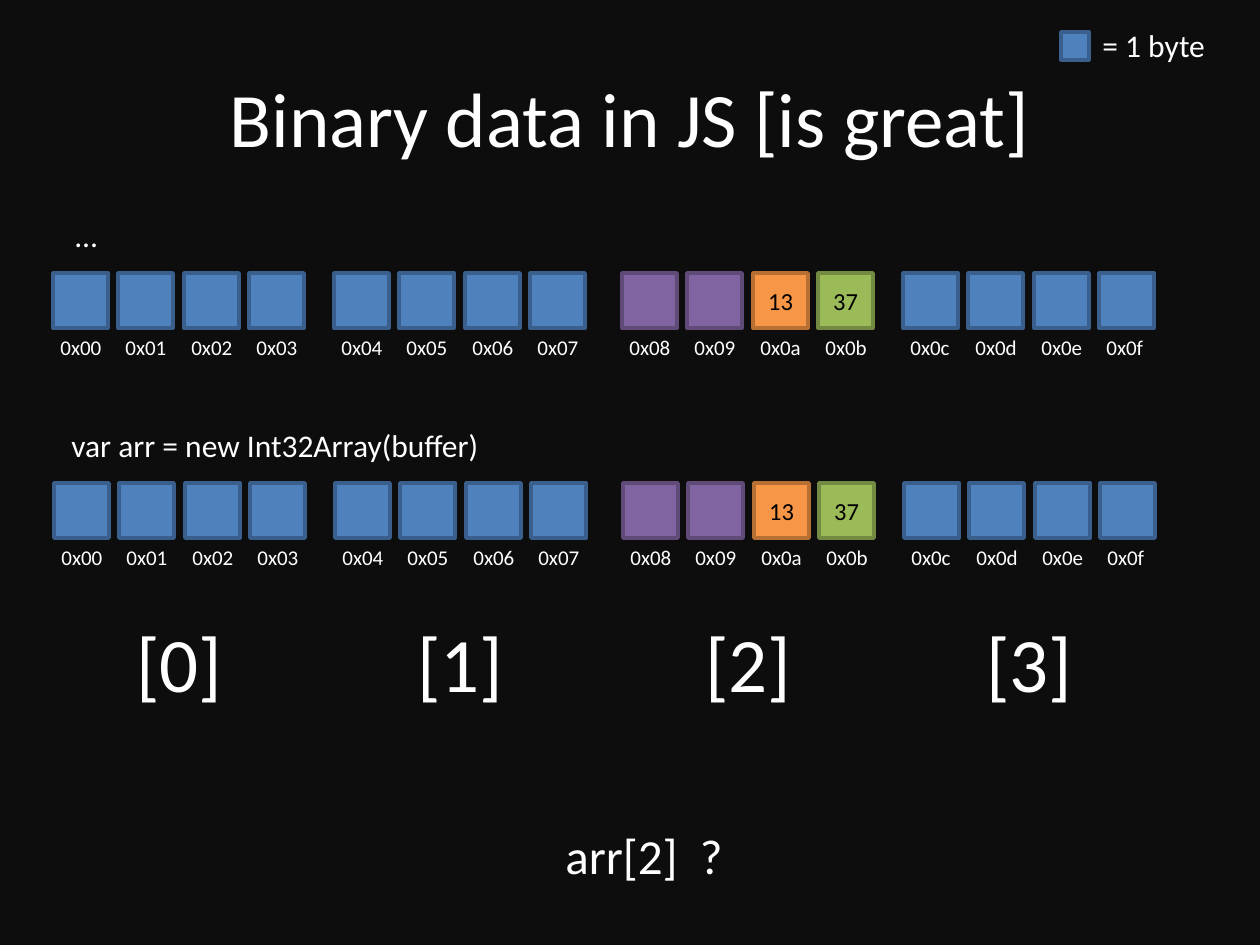
from dataclasses import dataclass

from pptx import Presentation
from pptx import util as u
from pptx.dml.color import RGBColor
from pptx.enum import shapes, text


@dataclass(frozen=True)
class Theme:
    font: str = "Calibri"
    background: str = "0D0D0D"
    light: str = "FFFFFF"
    dark: str = "000000"
    blue: tuple = ("4F81BD", "3A5F8C")
    purple: tuple = ("8064A2", "5F4A78")
    orange: tuple = ("F79646", "B76F34")
    green: tuple = ("9BBB59", "738A42")
    title: int = 44
    result: int = 28
    body: int = 18
    value: int = 14
    address: int = 12


THEME = Theme()
GROUP_LEFTS = (53, 334, 622, 903)
BYTES_PER_GROUP = 4
BYTE_SIZE = 55
SPECIAL_BYTES = {
    8: (THEME.purple, ""),
    9: (THEME.purple, ""),
    10: (THEME.orange, "13"),
    11: (THEME.green, "37"),
}


def px(length):
    return u.Emu(round(length * u.Inches(1) / 126))


def write_text(frame, content, *, size, color, align=text.PP_ALIGN.LEFT,
               anchor=text.MSO_ANCHOR.TOP):
    frame.vertical_anchor = anchor
    paragraph = frame.paragraphs[0]
    paragraph.alignment = align
    run = paragraph.add_run()
    run.text = content
    run.font.name = THEME.font
    run.font.size = u.Pt(size)
    run.font.color.rgb = RGBColor.from_string(color)


class SlideBuilder:
    def __init__(self, slide, theme):
        self.slide = slide
        self.theme = theme
        fill = slide.background.fill
        fill.solid()
        fill.fore_color.rgb = RGBColor.from_string(theme.background)

    def title(self, content, left, top, width, height):
        shape = self.slide.shapes.add_textbox(*map(px, (left, top, width, height)))
        shape.text_frame.word_wrap = True
        write_text(shape.text_frame, content, size=self.theme.title,
                   color=self.theme.light, align=text.PP_ALIGN.CENTER,
                   anchor=text.MSO_ANCHOR.MIDDLE)

    def label(self, content, left, top, width, height, size):
        shape = self.slide.shapes.add_textbox(*map(px, (left, top, width, height)))
        frame = shape.text_frame
        frame.word_wrap = False
        frame.auto_size = text.MSO_AUTO_SIZE.SHAPE_TO_FIT_TEXT
        write_text(frame, content, size=size, color=self.theme.light)

    def byte(self, left, top, size, colors, value=""):
        shape = self.slide.shapes.add_shape(
            shapes.MSO_SHAPE.RECTANGLE, *map(px, (left, top, size, size)))
        shape.shadow.inherit = False
        fill_color, line_color = colors
        shape.fill.solid()
        shape.fill.fore_color.rgb = RGBColor.from_string(fill_color)
        shape.line.color.rgb = RGBColor.from_string(line_color)
        shape.line.width = u.Pt(2)
        if value:
            write_text(shape.text_frame, value, size=self.theme.value,
                       color=self.theme.dark, align=text.PP_ALIGN.CENTER,
                       anchor=text.MSO_ANCHOR.MIDDLE)

    def buffer(self, top, shift=0):
        for address in range(len(GROUP_LEFTS) * BYTES_PER_GROUP):
            group, position = divmod(address, BYTES_PER_GROUP)
            left = GROUP_LEFTS[group] + shift + position * 131 // 2
            colors, value = SPECIAL_BYTES.get(address, (self.theme.blue, ""))
            self.byte(left, top, BYTE_SIZE, colors, value)
            self.label(f"0x{address:02x}", left - 5, top + BYTE_SIZE, 67, 38,
                       self.theme.address)


def main():
    presentation = Presentation()
    presentation.slide_width = px(1260)
    presentation.slide_height = px(945)
    slide = presentation.slides.add_slide(presentation.slide_layouts[6])
    builder = SlideBuilder(slide, THEME)

    builder.title("Binary data in JS [is great]", 63, 38, 1134, 157)
    builder.byte(1061, 32, 28, THEME.blue)
    builder.label("= 1 byte", 1090, 20, 130, 51, THEME.body)

    builder.label("…", 63, 210, 48, 51, THEME.body)
    builder.buffer(273)

    builder.label("var arr = new Int32Array(buffer)", 59, 420, 445, 51, THEME.body)
    builder.buffer(483, shift=1)
    for index, left in enumerate(GROUP_LEFTS):
        builder.label(f"[{index}]", left + 71, 609, 112, 106, THEME.title)
    builder.label("arr[2]  ?", 553, 819, 185, 72, THEME.result)

    presentation.save("out.pptx")


if __name__ == "__main__":
    main()
